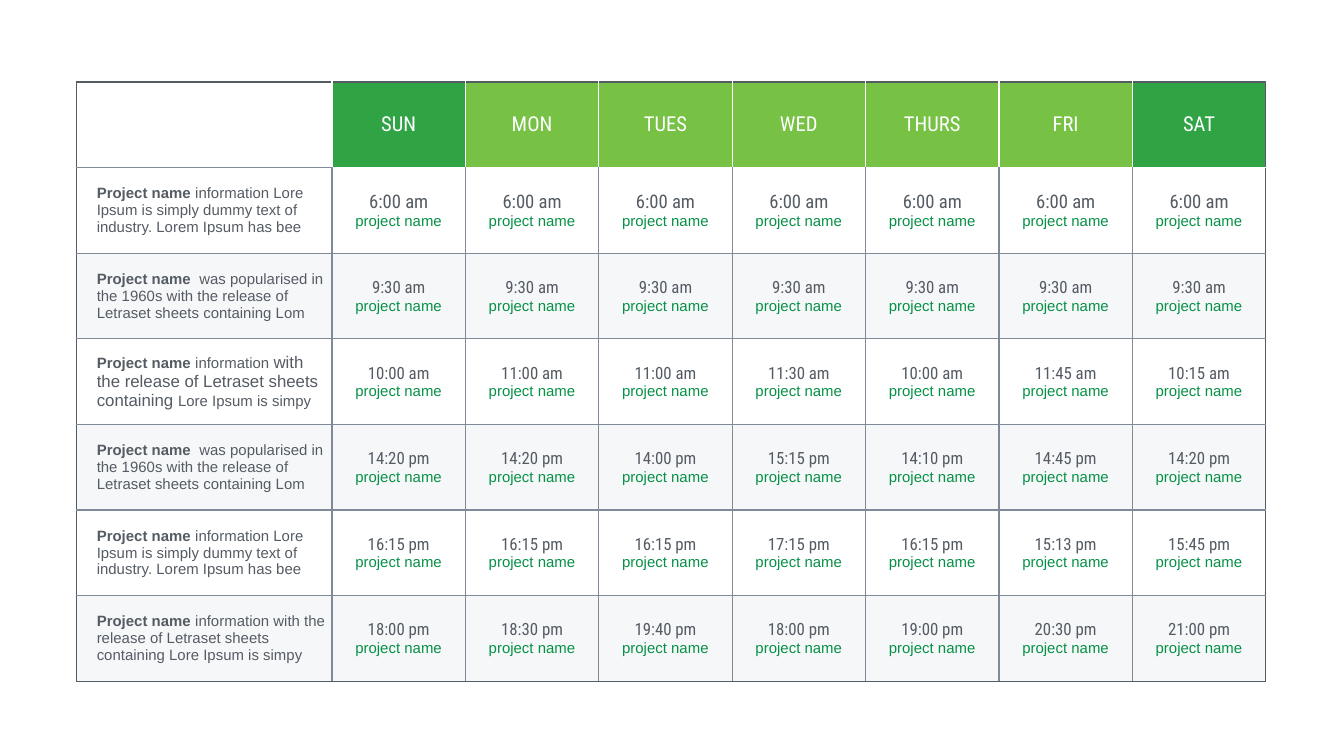
from lxml.etree import SubElement
from pptx import Presentation
from pptx.dml.color import RGBColor
from pptx.enum.text import MSO_ANCHOR, PP_ALIGN
from pptx.oxml import parse_xml
from pptx.oxml.ns import nsdecls, qn
from pptx.util import Inches, Pt

# Content
DAYS = ["SUN", "MON", "TUES", "WED", "THURS", "FRI", "SAT"]
WEEKEND = ("SUN", "SAT")
LABEL_START = "Project name "
TIME_NOTE = "project name"
DUMMY = [("information Lore Ipsum is simply dummy text of industry. Lorem Ipsum has bee", 8)]
POPULAR = [(" was popularised in the 1960s with the release of Letraset sheets containing Lom", 8)]
MIXED = [
    ("information ", 8),
    ("with the release of Letraset sheets containing ", 9),
    ("Lore Ipsum is simpy", 8),
]
RELEASE = [("information with the release of Letraset sheets containing Lore Ipsum is simpy", 8)]

# Label runs, time size, times from Sunday to Saturday
SCHEDULE = [
    (DUMMY, 10, ["6:00 am"] * 7),
    (POPULAR, 9, ["9:30 am"] * 7),
    (MIXED, 9, ["10:00 am", "11:00 am", "11:00 am", "11:30 am", "10:00 am", "11:45 am", "10:15 am"]),
    (POPULAR, 9, ["14:20 pm", "14:20 pm", "14:00 pm", "15:15 pm", "14:10 pm", "14:45 pm", "14:20 pm"]),
    (DUMMY, 9, ["16:15 pm", "16:15 pm", "16:15 pm", "17:15 pm", "16:15 pm", "15:13 pm", "15:45 pm"]),
    (RELEASE, 9, ["18:00 pm", "18:30 pm", "19:40 pm", "18:00 pm", "19:00 pm", "20:30 pm", "21:00 pm"]),
]

# Style
COLORS = {
    "white": "FFFFFF", "text": "545B63", "grid": "7F8998", "band": "EEF0F4",
    "weekend": "30A345", "weekday": "77C145", "note": "059145",
}
HEADING_FONT, BODY_FONT = "Roboto Condensed", "Arial"
SLIDE_WIDTH = 10
LEFT, TOP, WIDTH, HEIGHT = 0.57, 0.61, 8.85, 4.46
LABEL_WIDTH = 1.9
ROWS, COLUMNS = len(SCHEDULE) + 1, len(DAYS) + 1


def add_run(paragraph, text, size, font, color, bold=False):
    run = paragraph.add_run()
    run.text = text
    run.font.size = Pt(size)
    run.font.name = font
    run.font.bold = bold
    run.font.color.rgb = RGBColor.from_string(COLORS[color])


def set_fill(cell, color, opacity=100):
    cell.fill.solid()
    cell.fill.fore_color.rgb = RGBColor.from_string(COLORS[color])
    if opacity < 100:
        # The fill is the last child, after any border lines
        color_element = cell._tc.tcPr.find(qn("a:solidFill")).find(qn("a:srgbClr"))
        SubElement(color_element, qn("a:alpha"), val=str(opacity * 1000))


def set_borders(cell, row, column):
    header_side = row == 0 and column > 0
    inner = "white" if header_side else "grid"
    sides = {
        "L": "text" if column == 0 else inner,
        "R": "text" if column == COLUMNS - 1 else "white" if row == 0 else "grid",
        "T": "text" if row == 0 else "white" if row == 1 and column > 0 else "grid",
        "B": "text" if row == ROWS - 1 else inner,
    }
    for position, (side, color) in enumerate(sides.items()):
        cell._tc.get_or_add_tcPr().insert(position, parse_xml(
            f'<a:ln{side} {nsdecls("a")} w="{Pt(0.75)}"><a:solidFill>'
            f'<a:srgbClr val="{COLORS[color]}"/></a:solidFill></a:ln{side}>'))


# Widescreen slide, 16 by 9
presentation = Presentation()
presentation.slide_width = Inches(SLIDE_WIDTH)
presentation.slide_height = Inches(SLIDE_WIDTH * 9 / 16)
slide = presentation.slides.add_slide(presentation.slide_layouts[6])

# Table grid: a wide label column, then equal day columns and equal rows
table = slide.shapes.add_table(
    ROWS, COLUMNS, Inches(LEFT), Inches(TOP), Inches(WIDTH), Inches(HEIGHT)).table
table.first_row = table.horz_banding = False
for index, column in enumerate(table.columns):
    column.width = Inches((WIDTH - LABEL_WIDTH) / len(DAYS) if index else LABEL_WIDTH)
for row in table.rows:
    row.height = Inches(HEIGHT / ROWS)

# Shared cell format: margins, banded fill and borders
for row in range(ROWS):
    for column in range(COLUMNS):
        cell = table.cell(row, column)
        cell.vertical_anchor = MSO_ANCHOR.MIDDLE
        cell.margin_left = Inches(0.15 if column == 0 else 0.04)
        cell.margin_right = Inches(0.04)
        cell.margin_top = cell.margin_bottom = Inches(0.02)
        if row and row % 2 == 0:
            set_fill(cell, "band", 50)
        else:
            cell.fill.background()
        set_borders(cell, row, column)

# Day headings
for column, day in enumerate(DAYS, start=1):
    cell = table.cell(0, column)
    set_fill(cell, "weekend" if day in WEEKEND else "weekday")
    paragraph = cell.text_frame.paragraphs[0]
    paragraph.alignment = PP_ALIGN.CENTER
    add_run(paragraph, day, 11, HEADING_FONT, "white")

# Project labels and times
for row, (label, time_size, times) in enumerate(SCHEDULE, start=1):
    paragraph = table.cell(row, 0).text_frame.paragraphs[0]
    add_run(paragraph, LABEL_START, 8, BODY_FONT, "text", bold=True)
    for text, size in label:
        add_run(paragraph, text, size, BODY_FONT, "text")
    for column, time in enumerate(times, start=1):
        text_frame = table.cell(row, column).text_frame
        time_line, note_line = text_frame.paragraphs[0], text_frame.add_paragraph()
        time_line.alignment = note_line.alignment = PP_ALIGN.CENTER
        add_run(time_line, time, time_size, HEADING_FONT, "text")
        add_run(note_line, TIME_NOTE, 8, BODY_FONT, "note")

presentation.save("out.pptx")
